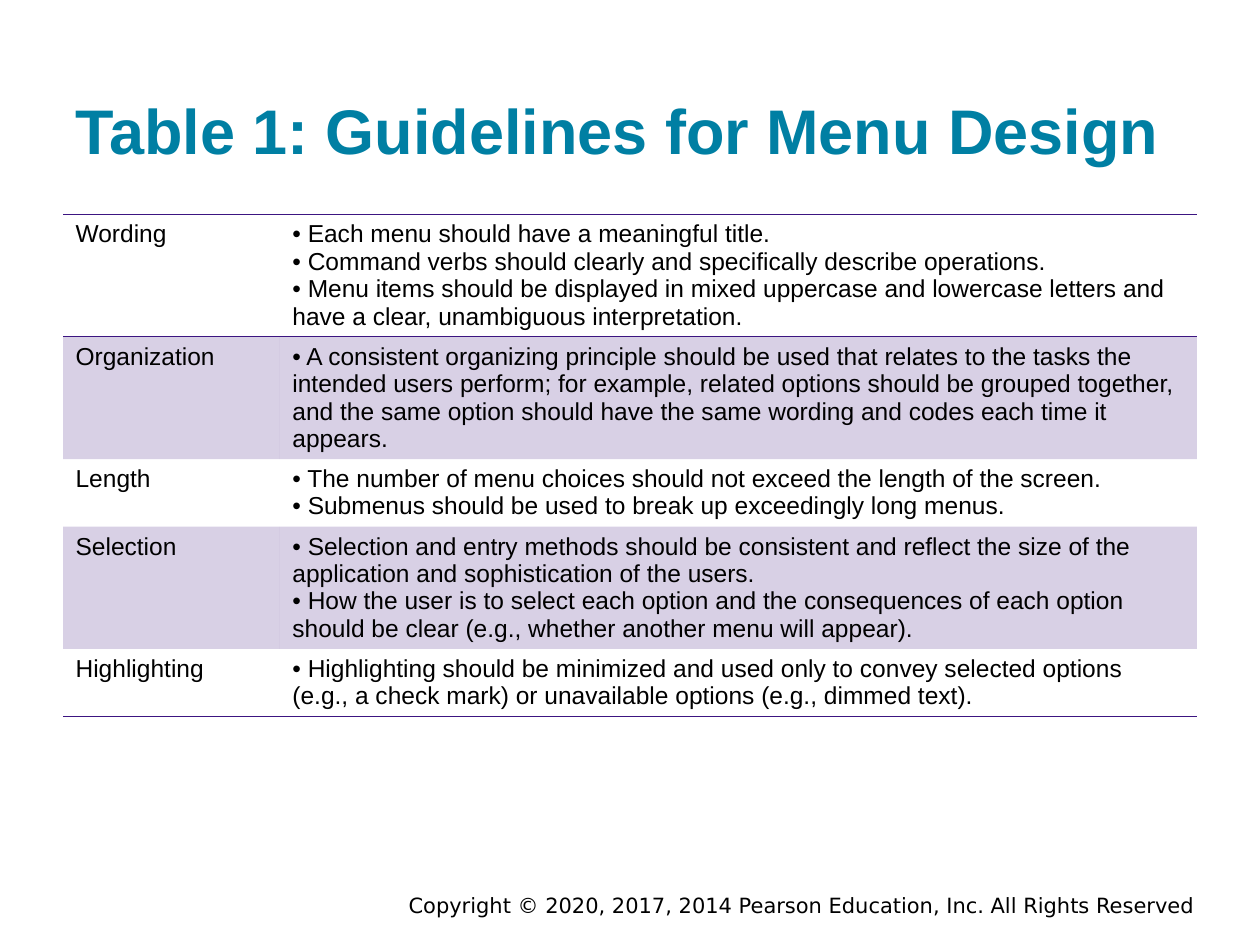
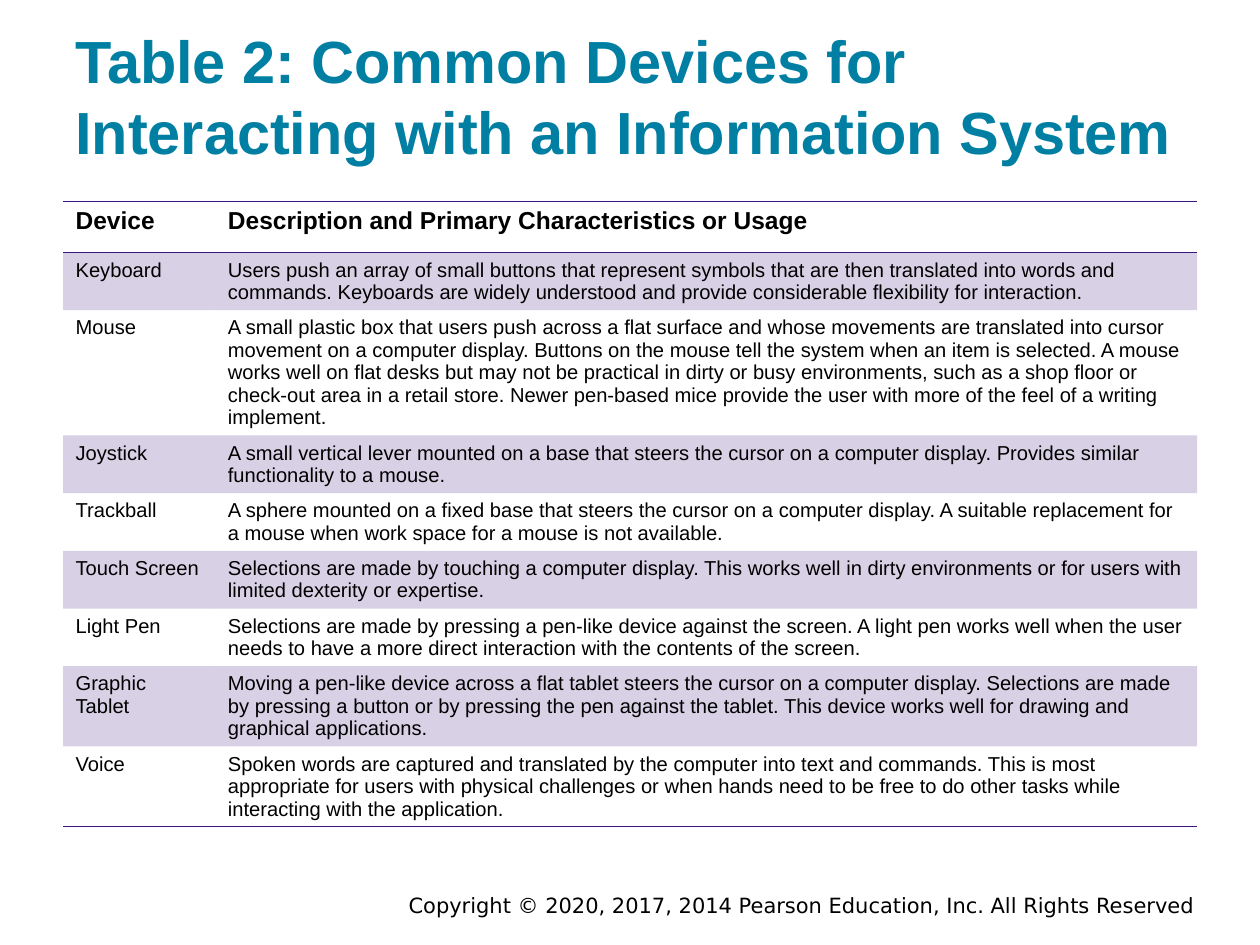
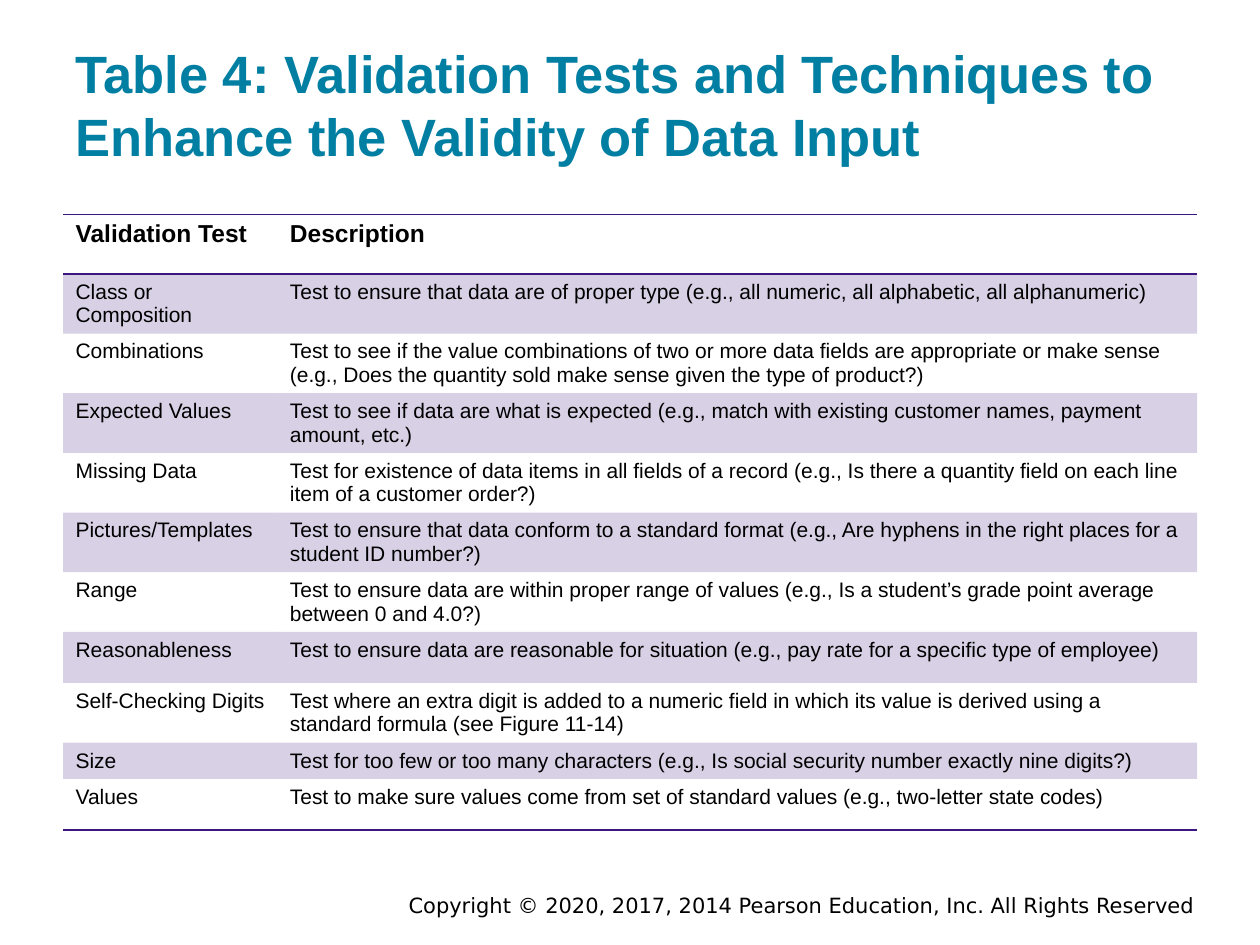
import lxml.etree
import pptx
import pptx.dml.color
import pptx.enum.text
import pptx.oxml.ns
import pptx.util

# Content
COPYRIGHT = "Copyright © 2020, 2017, 2014 Pearson Education, Inc. All Rights Reserved"

MENU_GUIDELINES = [
    ("Wording", (
        "• Each menu should have a meaningful title.",
        "• Command verbs should clearly and specifically describe operations.",
        "• Menu items should be displayed in mixed uppercase and lowercase letters and "
        "have a clear, unambiguous interpretation.")),
    ("Organization", (
        "• A consistent organizing principle should be used that relates to the tasks the "
        "intended users perform; for example, related options should be grouped together, "
        "and the same option should have the same wording and codes each time it appears.",)),
    ("Length", (
        "• The number of menu choices should not exceed the length of the screen.",
        "• Submenus should be used to break up exceedingly long menus.")),
    ("Selection", (
        "• Selection and entry methods should be consistent and reflect the size of the "
        "application and sophistication of the users.",
        "• How the user is to select each option and the consequences of each option "
        "should be clear (e.g., whether another menu will appear).")),
    ("Highlighting", (
        "• Highlighting should be minimized and used only to convey selected options "
        "(e.g., a check mark) or unavailable options (e.g., dimmed text).",)),
]

DEVICES = [
    ("Device", "Description and Primary Characteristics or Usage"),
    ("Keyboard",
     "Users push an array of small buttons that represent symbols that are then translated "
     "into words and commands. Keyboards are widely understood and provide considerable "
     "flexibility for interaction."),
    ("Mouse",
     "A small plastic box that users push across a flat surface and whose movements are "
     "translated into cursor movement on a computer display. Buttons on the mouse tell the "
     "system when an item is selected. A mouse works well on flat desks but may not be "
     "practical in dirty or busy environments, such as a shop floor or check-out area in a "
     "retail store. Newer pen-based mice provide the user with more of the feel of a "
     "writing implement."),
    ("Joystick",
     "A small vertical lever mounted on a base that steers the cursor on a computer "
     "display. Provides similar functionality to a mouse."),
    ("Trackball",
     "A sphere mounted on a fixed base that steers the cursor on a computer display. A "
     "suitable replacement for a mouse when work space for a mouse is not available."),
    ("Touch Screen",
     "Selections are made by touching a computer display. This works well in dirty "
     "environments or for users with limited dexterity or expertise."),
    ("Light Pen",
     "Selections are made by pressing a pen-like device against the screen. A light pen "
     "works well when the user needs to have a more direct interaction with the contents "
     "of the screen."),
    ("Graphic Tablet",
     "Moving a pen-like device across a flat tablet steers the cursor on a computer "
     "display. Selections are made by pressing a button or by pressing the pen against the "
     "tablet. This device works well for drawing and graphical applications."),
    ("Voice",
     "Spoken words are captured and translated by the computer into text and commands. "
     "This is most appropriate for users with physical challenges or when hands need to be "
     "free to do other tasks while interacting with the application."),
]

VALIDATION_TESTS = [
    ("Validation Test", "Description"),
    ("Class or Composition",
     "Test to ensure that data are of proper type (e.g., all numeric, all alphabetic, all "
     "alphanumeric)"),
    ("Combinations",
     "Test to see if the value combinations of two or more data fields are appropriate or "
     "make sense (e.g., Does the quantity sold make sense given the type of product?)"),
    ("Expected Values",
     "Test to see if data are what is expected (e.g., match with existing customer names, "
     "payment amount, etc.)"),
    ("Missing Data",
     "Test for existence of data items in all fields of a record (e.g., Is there a "
     "quantity field on each line item of a customer order?)"),
    ("Pictures/Templates",
     "Test to ensure that data conform to a standard format (e.g., Are hyphens in the "
     "right places for a student ID number?)"),
    ("Range",
     "Test to ensure data are within proper range of values (e.g., Is a student’s grade "
     "point average between 0 and 4.0?)"),
    ("Reasonableness",
     "Test to ensure data are reasonable for situation (e.g., pay rate for a specific type "
     "of employee)"),
    ("Self-Checking Digits",
     "Test where an extra digit is added to a numeric field in which its value is derived "
     "using a standard formula (see Figure 11-14)"),
    ("Size",
     "Test for too few or too many characters (e.g., Is social security number exactly "
     "nine digits?)"),
    ("Values",
     "Test to make sure values come from set of standard values (e.g., two-letter state "
     "codes)"),
]

# Lengths in centimetres; row_heights lists rows that differ from the usual height
PAGES = [
    dict(title="Table 1: Guidelines for Menu Design", title_size=36,
         rows=MENU_GUIDELINES, header=False, size=14, top=4.32, label_width=4.37,
         row_heights={}),
    dict(title="Table 2: Common Devices for Interacting with an Information System",
         title_size=34, rows=DEVICES, header=True, size=11.5, top=4.06, label_width=3.07,
         row_heights={}),
    dict(title="Table 4: Validation Tests and Techniques to Enhance the Validity of Data Input",
         title_size=30, rows=VALIDATION_TESTS, header=True, size=12, top=4.32,
         label_width=4.32, row_heights={0: 1.2, 9: 0.69}),
]


# Shared look
class Theme:
    title_color = "007FA3"
    text_color = "000000"
    rule_color = "3C1581"
    band_opacity = 20
    rule_width = 1
    font = "Arial"
    footer_font = "DejaVu Sans"
    header_size = 14
    footer_size = 12
    table_leading = 1.12


LEFT, WIDTH, ROW_HEIGHT = 1.27, 22.86, 1.03
TITLE_AREA = (LEFT, 0.64, WIDTH, 2.97)
FOOTER_AREA = (4.45, 17.86, 19.89, 0.56)


def write(paragraph, text, color, **formats):
    span = paragraph.add_run()
    span.text = text
    span.font.color.rgb = pptx.dml.color.RGBColor.from_string(color)
    for name, value in formats.items():
        setattr(span.font, name, value)


def add_text(page, area, margin, anchor, text, color, **formats):
    box = page.shapes.add_textbox(*map(pptx.util.Cm, area))
    frame_formats = dict(
        word_wrap=True, vertical_anchor=anchor,
        margin_left=pptx.util.Cm(0.25), margin_right=pptx.util.Cm(0.25),
        margin_top=pptx.util.Cm(margin), margin_bottom=pptx.util.Cm(margin))
    for name, value in frame_formats.items():
        setattr(box.text_frame, name, value)
    paragraph = box.text_frame.paragraphs[0]
    write(paragraph, text, color, **formats)
    return paragraph


def add_element(parent, tag, **attributes):
    return lxml.etree.SubElement(parent, pptx.oxml.ns.qn(tag), attributes)


def set_borders(cell, ruled):
    properties = cell._tc.get_or_add_tcPr()
    for side in ("L", "R", "T", "B"):
        width = pptx.util.Pt(Theme.rule_width) if side in ruled else 0
        line = add_element(properties, "a:ln" + side, w=str(width))
        if side in ruled:
            fill = add_element(line, "a:solidFill")
            add_element(fill, "a:srgbClr", val=Theme.rule_color)
        else:
            add_element(line, "a:noFill")


def set_band(cell, banded):
    if not banded:
        cell.fill.background()
        return
    cell.fill.solid()
    cell.fill.fore_color.rgb = pptx.dml.color.RGBColor.from_string(Theme.rule_color)
    color = cell._tc.tcPr.find("./" + "/".join(map(pptx.oxml.ns.qn, ("a:solidFill", "a:srgbClr"))))
    add_element(color, "a:alpha", val=str(Theme.band_opacity * 1000))


def add_grid(page, content):
    rows = content["rows"]
    heights = [content["row_heights"].get(i, ROW_HEIGHT) for i in range(len(rows))]
    area = (LEFT, content["top"], WIDTH, sum(heights))
    table = page.shapes.add_table(len(rows), 2, *map(pptx.util.Cm, area)).table
    table.first_row = table.horz_banding = False
    widths = (content["label_width"], WIDTH - content["label_width"])
    for column, width in zip(table.columns, widths):
        column.width = pptx.util.Cm(width)

    # Rules lie above and below the first row and under the last
    ruled_edges = {0, 1, len(rows)}
    for i, (row, height) in enumerate(zip(rows, heights)):
        table.rows[i].height = pptx.util.Cm(height)
        is_header = content["header"] and i == 0
        size = Theme.header_size if is_header else content["size"]
        ruled = [side for side, edge in (("T", i), ("B", i + 1)) if edge in ruled_edges]
        for cell, entry in zip(table.rows[i].cells, row):
            set_borders(cell, ruled)
            set_band(cell, i % 2 == 1)
            frame = cell.text_frame
            for j, text in enumerate((entry,) if isinstance(entry, str) else entry):
                paragraph = frame.add_paragraph() if j else frame.paragraphs[0]
                paragraph.line_spacing = pptx.util.Pt(size * Theme.table_leading)
                write(paragraph, text, Theme.text_color, name=Theme.font,
                      size=pptx.util.Pt(size), bold=is_header)


def add_page(deck, content):
    page = deck.slides.add_slide(deck.slide_layouts[6])
    footer = add_text(page, FOOTER_AREA, 0.13, pptx.enum.text.MSO_ANCHOR.TOP, COPYRIGHT,
                      Theme.text_color, name=Theme.footer_font,
                      size=pptx.util.Pt(Theme.footer_size))
    footer.alignment = pptx.enum.text.PP_ALIGN.RIGHT
    add_text(page, TITLE_AREA, 0.25, pptx.enum.text.MSO_ANCHOR.BOTTOM,
             content["title"], Theme.title_color, name=Theme.font,
             size=pptx.util.Pt(content["title_size"]), bold=True)
    add_grid(page, content)


def main():
    deck = pptx.Presentation()
    deck.slide_width, deck.slide_height = pptx.util.Cm(25.4), pptx.util.Cm(19.05)
    for content in PAGES:
        add_page(deck, content)
    deck.save("out.pptx")


if __name__ == "__main__":
    main()
